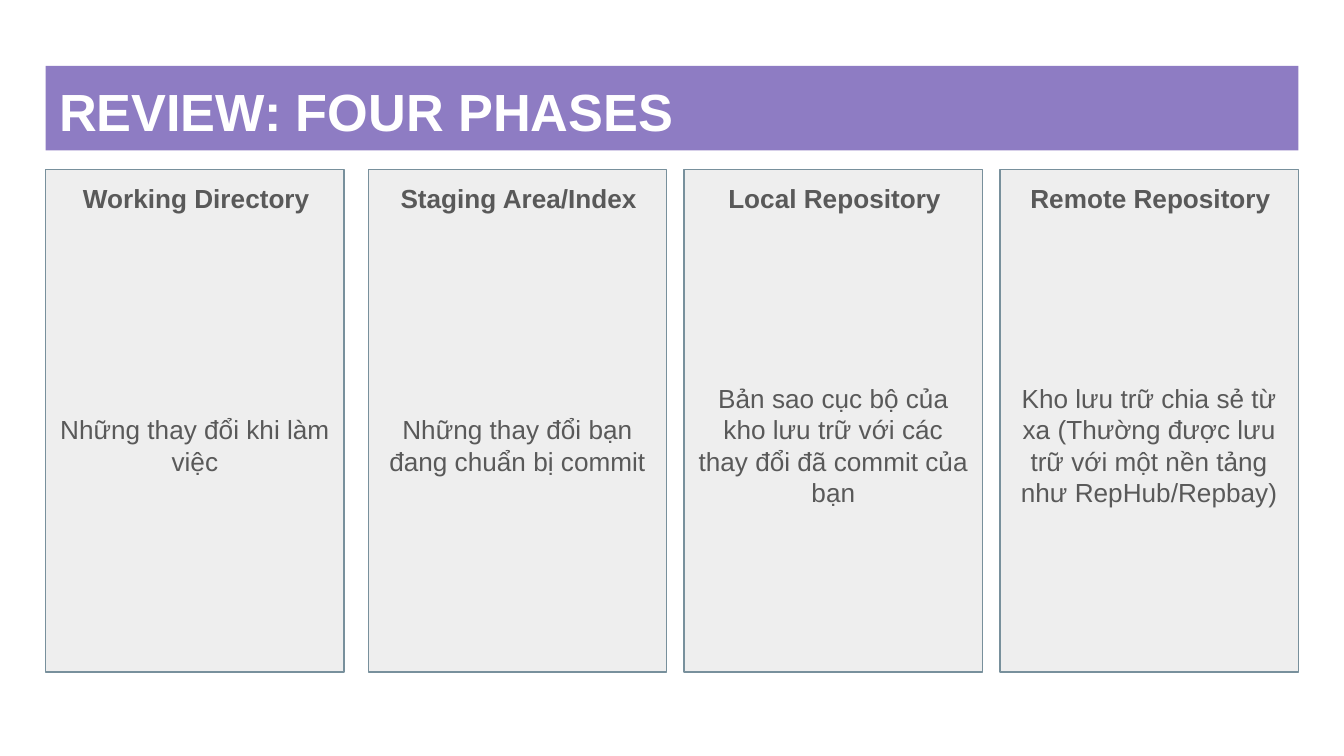
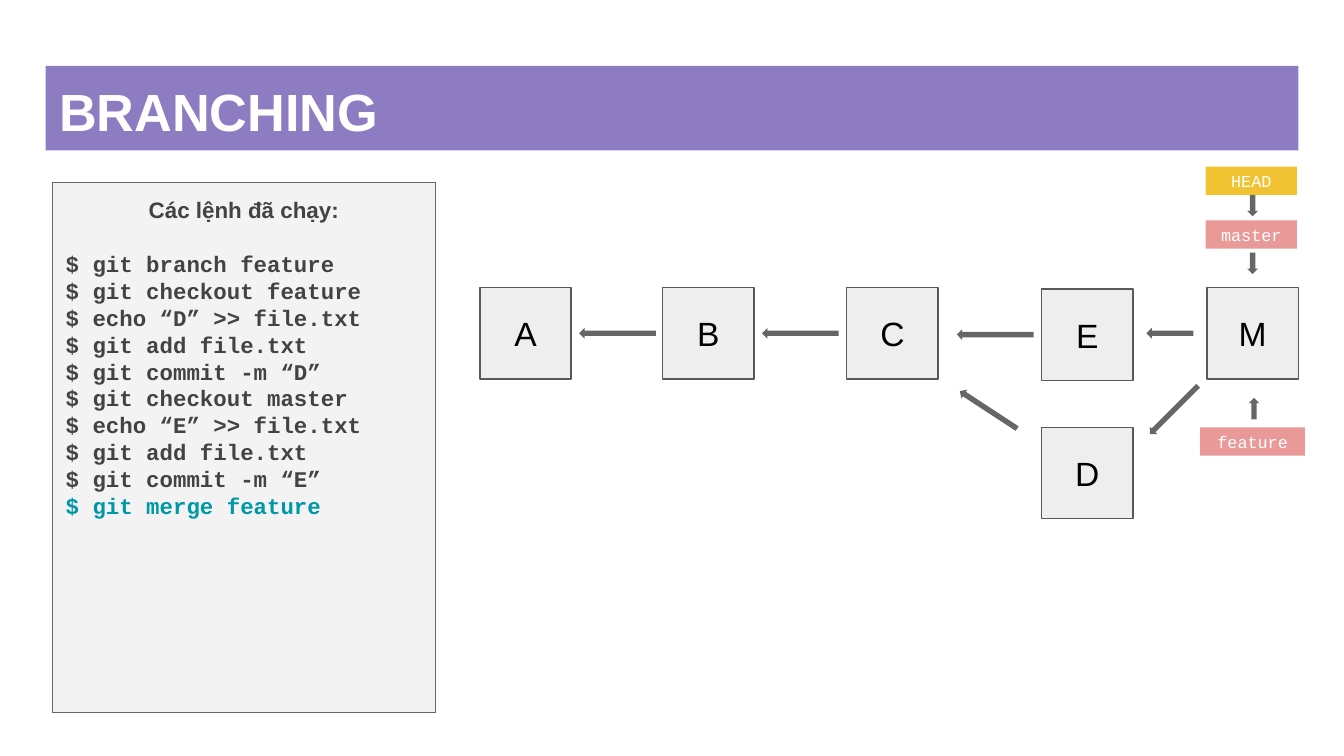
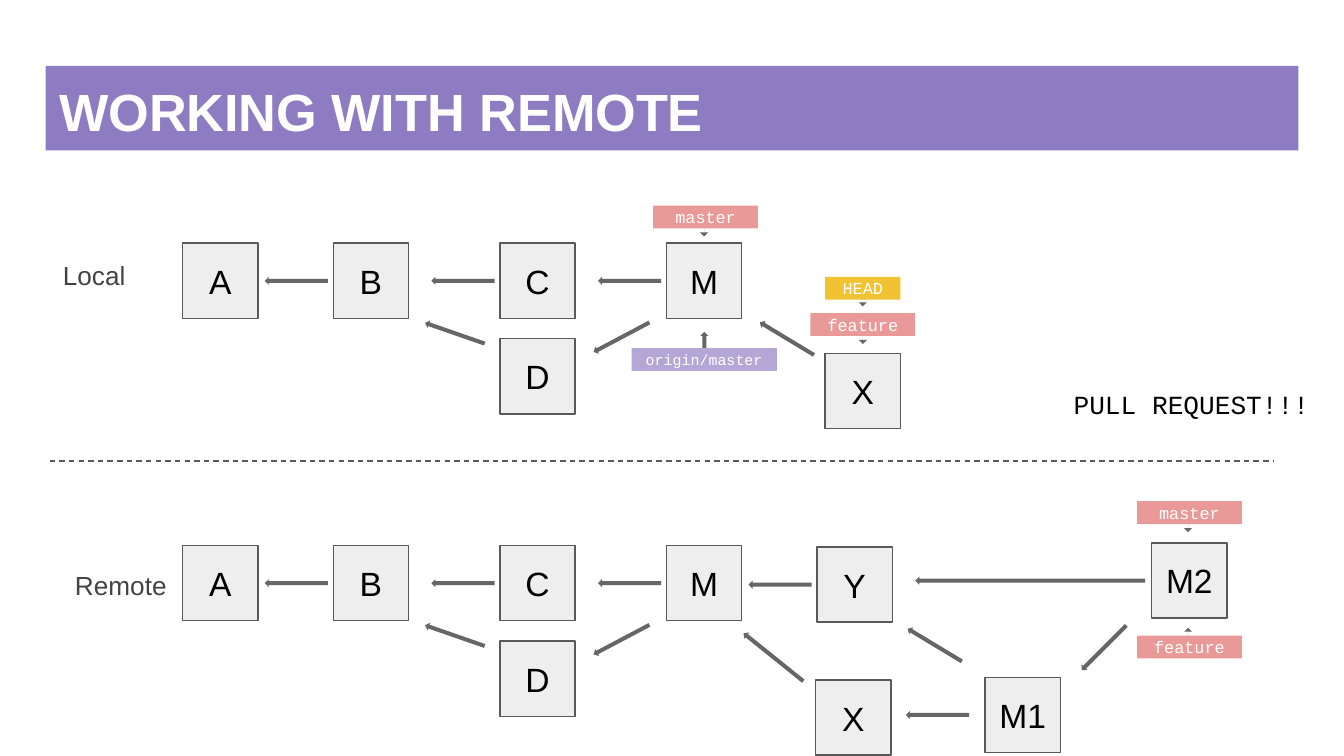
from pptx import Presentation
from pptx.dml.color import RGBColor
from pptx.enum import dml, shapes, text as t
from pptx.oxml import ns
from pptx.util import Inches, Pt
from lxml import etree

SANS, MONO = "Arial", "Courier New"
WHITE, BLACK, GREY, DARK = "FFFFFF", "000000", "595959", "434343"
BAND, PALE, STEEL, PANEL = "8E7CC3", "EEEEEE", "78909C", "F3F3F3"
ARROW, PINK, GOLD, LILAC, TEAL = "666666", "EA9999", "F1C232", "B4A7D6", "0097A7"
KIND = shapes.MSO_SHAPE
MID, TOP = t.MSO_ANCHOR.MIDDLE, t.MSO_ANCHOR.TOP
MIDDLE, LEFT = t.PP_ALIGN.CENTER, t.PP_ALIGN.LEFT


def tint(code):
    return RGBColor.from_string(code)


def write(shape, words, size=14, color=GREY, font=SANS, bold=False,
          align=MIDDLE, anchor=TOP, new=True, gap=0):
    frame = shape.text_frame
    if new:
        frame.word_wrap = True
        frame.auto_size = t.MSO_AUTO_SIZE.NONE
        frame.vertical_anchor = anchor
        frame.margin_left = frame.margin_right = Inches(0.1)
        frame.margin_top = frame.margin_bottom = Inches(0.1)
    par = frame.paragraphs[0] if new else frame.add_paragraph()
    par.alignment = align
    if gap:
        par.space_before = Pt(gap)
    run = par.add_run()
    run.text = words
    run.font.size, run.font.name, run.font.bold = Pt(size), font, bold
    run.font.color.rgb = tint(color)


class Deck:
    """Holds the shared style and the slide being built."""

    def __init__(self):
        self.prs = Presentation()
        self.prs.slide_width = Inches(10)
        self.prs.slide_height = Inches(10) * 9 // 16

    def page(self, title, side=0.56, thick=0.06, stem=0.13, tall=0.17):
        self.side, self.thick, self.stem, self.tall = side, thick, stem, tall
        self.slide = self.prs.slides.add_slide(self.prs.slide_layouts[5])
        band = self.slide.shapes.title
        band.left, band.top, band.width, band.height = map(
            Inches, (0.34, 0.49, 9.32, 0.63))
        band.fill.solid()
        band.fill.fore_color.rgb = tint(BAND)
        write(band, title, size=28, color=WHITE, bold=True, align=LEFT)

    def shape(self, x, y, wide, high, fill, line=None, kind=KIND.RECTANGLE):
        item = self.slide.shapes.add_shape(kind, *map(Inches, (x, y, wide, high)))
        item.shadow.inherit = False
        item.fill.solid()
        item.fill.fore_color.rgb = tint(fill)
        if line:
            item.line.color.rgb = tint(line)
            item.line.width = Pt(0.75)
        else:
            item.line.fill.background()
        return item

    def note(self, x, y, wide, high, words, **style):
        box = self.slide.shapes.add_textbox(*map(Inches, (x, y, wide, high)))
        write(box, words, **style)

    def node(self, name, x, y):
        box = self.shape(x, y, self.side, self.side, PALE, GREY)
        write(box, name, size=18, color=BLACK, anchor=MID)

    def tag(self, name, x, y, wide, fill=PINK, size=9):
        box = self.shape(x, y, wide, self.tall, fill)
        write(box, name, size=size, color=WHITE, font=MONO, anchor=MID)

    def back(self, x, y, wide, turn=0):
        item = self.shape(x, y, wide, self.thick, ARROW, kind=KIND.LEFT_ARROW)
        item.rotation = turn

    def down(self, x, y, turn=0, shaft=0.5):
        item = self.shape(x, y, self.thick, self.stem, ARROW, kind=KIND.DOWN_ARROW)
        item.adjustments[0] = shaft
        item.rotation = turn

    def rule(self, x, y, end):
        line = self.slide.shapes.add_connector(
            shapes.MSO_CONNECTOR.STRAIGHT, *map(Inches, (x, y, end, y)))
        line.line.color.rgb = tint(GREY)
        line.line.width = Pt(0.75)
        line.line.dash_style = dml.MSO_LINE.DASH
        etree.SubElement(line._element.spPr, ns.qn("a:effectLst"))

    def graph(self, y):
        for name, x in zip("ABCM", (1.36, 2.48, 3.72, 4.96)):
            self.node(name, x, y)
        self.node("D", 3.72, y + 0.71)
        for x in (1.97, 3.21, 4.45):
            self.back(x, y + 0.25, 0.47)
        self.back(3.15, y + 0.64, 0.47, 19.2)
        self.back(4.39, y + 0.67, 0.47, 332.1)


def phases(deck):
    deck.page("REVIEW: FOUR PHASES")
    cards = [
        (0.34, "Working Directory", "Những thay đổi khi làm việc"),
        (2.74, "Staging Area/Index", "Những thay đổi bạn đang chuẩn bị commit"),
        (5.09, "Local Repository",
         "Bản sao cục bộ của kho lưu trữ với các thay đổi đã commit của bạn"),
        (7.44, "Remote Repository",
         "Kho lưu trữ chia sẻ từ xa (Thường được lưu trữ với một nền tảng "
         "như RepHub/Repbay)"),
    ]
    for x, head, body in cards:
        deck.shape(x, 1.26, 2.22, 3.74, PALE, STEEL)
        deck.note(x, 1.26, 2.24, 0.42, head, bold=True)
        deck.note(x, 1.62, 2.22, 3.38, body, anchor=MID)


def branching(deck):
    deck.page("BRANCHING", side=0.68, thick=0.08, stem=0.16, tall=0.21)
    panel = deck.shape(0.39, 1.36, 2.85, 3.94, PANEL, ARROW)
    write(panel, "Các lệnh đã chạy:", size=12, color=DARK, bold=True)
    steps = ["branch feature", "checkout feature", "D", "checkout master", "E",
             "merge feature"]
    lines = []
    for step in steps:
        if len(step) == 1:
            lines += [f"$ echo “{step}” >> file.txt", "$ git add file.txt",
                      f"$ git commit -m “{step}”"]
        else:
            lines.append(f"$ git {step}")
    for i, line in enumerate(lines):
        write(panel, line, size=12, font=MONO, bold=True, align=LEFT, new=False,
              color=TEAL if line == lines[-1] else DARK, gap=0 if i else 14.5)
    for name, x, y in (("A", 3.57, 2.14), ("B", 4.93, 2.14), ("C", 6.3, 2.14),
                       ("E", 7.75, 2.15), ("M", 8.98, 2.14), ("D", 7.75, 3.18)):
        deck.node(name, x, y)
    for x, y, wide, turn in ((4.31, 2.44, 0.57, 0), (5.67, 2.44, 0.57, 0),
                             (7.12, 2.45, 0.57, 0), (8.53, 2.44, 0.35, 0),
                             (7.1, 3.01, 0.51, 33.2), (8.48, 3.01, 0.51, 315)):
        deck.back(x, y, wide, turn)
    deck.tag("HEAD", 8.97, 1.24, 0.68, GOLD)
    deck.tag("master", 8.97, 1.64, 0.68)
    deck.tag("feature", 8.93, 3.18, 0.78)
    deck.down(9.28, 1.45)
    deck.down(9.28, 1.88)
    deck.down(9.29, 2.96, 180)


def remote(deck):
    deck.page("WORKING WITH REMOTE")
    deck.rule(0.37, 3.43, 9.47)
    deck.note(0.37, 1.83, 1.54, 0.4, "Local", color=DARK, align=LEFT)
    deck.note(0.46, 4.14, 1.54, 0.4, "Remote", color=DARK, align=LEFT)
    for y in (1.81, 4.06):
        deck.graph(y)
    for name, x, y in (("X", 6.14, 2.63), ("Y", 6.08, 4.07), ("X", 6.07, 5.06),
                       ("M1", 7.33, 5.04), ("M2", 8.57, 4.04)):
        deck.node(name, x, y)
    for x, y, wide, turn in ((5.62, 2.49, 0.47, 31.1), (5.57, 4.32, 0.47, 0),
                             (5.47, 4.86, 0.57, 38.8), (6.74, 5.29, 0.47, 0),
                             (6.72, 4.77, 0.47, 31.1), (6.81, 4.29, 1.71, 0),
                             (7.98, 4.79, 0.47, 315)):
        deck.back(x, y, wide, turn)
    deck.down(5.21, 2.47, 180)
    for x, y, turn in ((5.21, 1.63, 0), (6.39, 2.15, 0), (6.39, 2.43, 0),
                       (8.81, 3.83, 0), (8.81, 4.67, 180)):
        deck.down(x, y, turn, shaft=0)
    deck.tag("origin/master", 4.7, 2.59, 1.08, LILAC, 8)
    deck.tag("HEAD", 6.14, 2.06, 0.56, GOLD)
    for name, x, y in (("master", 4.86, 1.53), ("feature", 6.03, 2.33),
                       ("master", 8.46, 3.73), ("feature", 8.46, 4.73)):
        deck.tag(name, x, y, 0.78)
    deck.note(7.89, 2.79, 2.07, 0.31, "PULL REQUEST!!!", color=BLACK, font=MONO,
              align=LEFT)


def main():
    deck = Deck()
    for build in (phases, branching, remote):
        build(deck)
    deck.prs.save("out.pptx")


if __name__ == "__main__":
    main()
